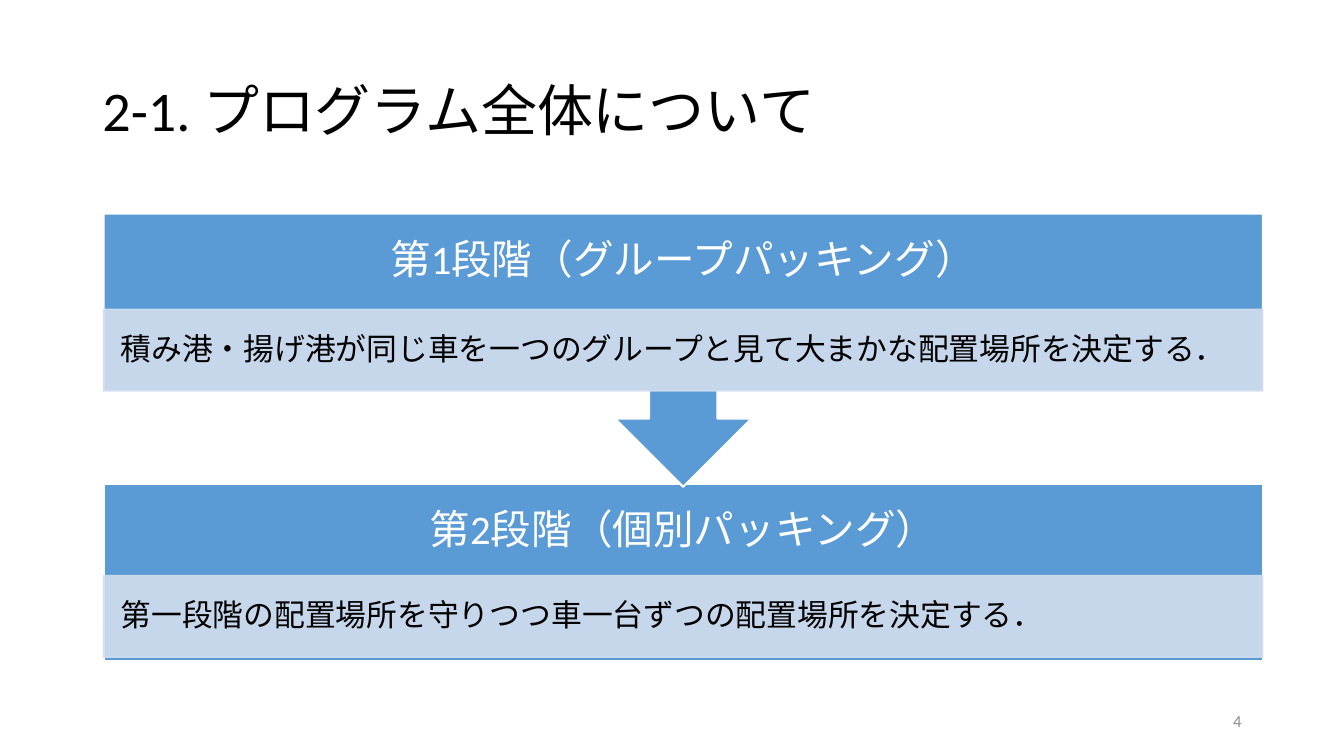
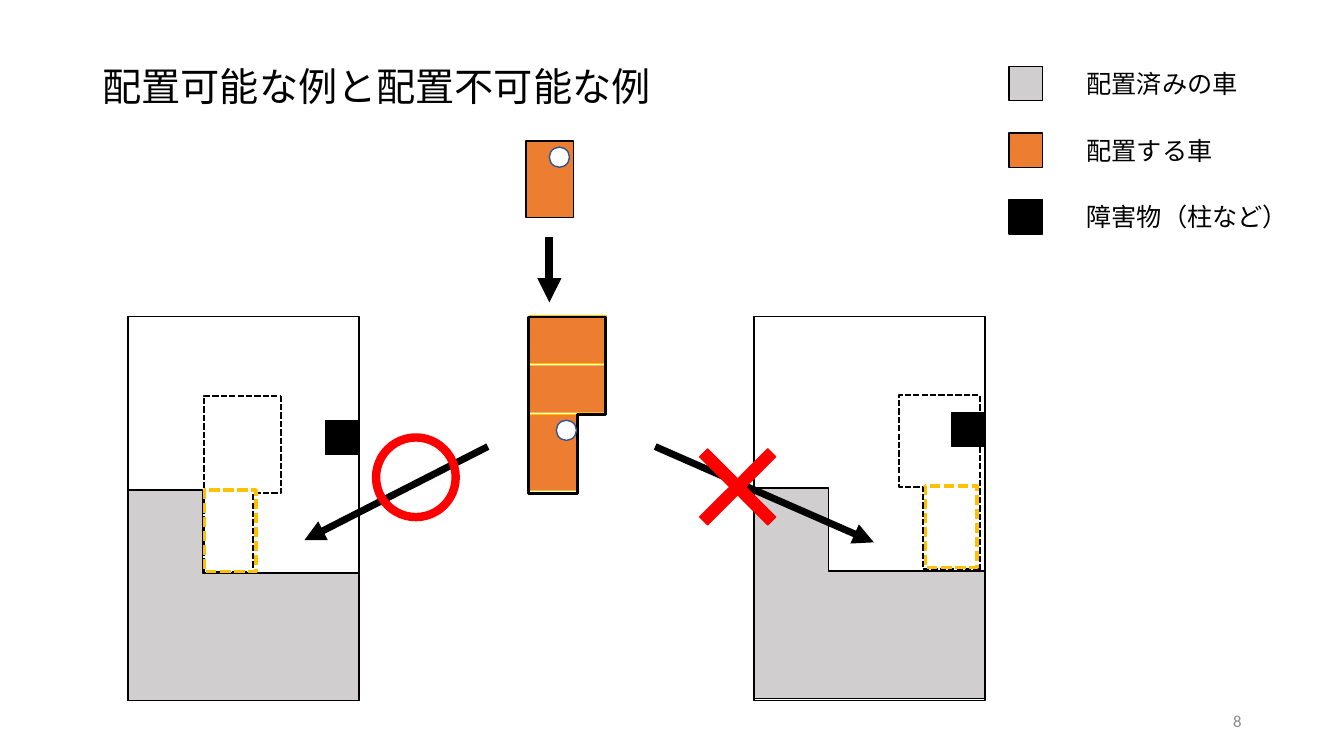
from lxml import etree
from pptx import Presentation
from pptx.dml.color import RGBColor
from pptx.enum.dml import MSO_LINE_DASH_STYLE as Dash
from pptx.enum.shapes import MSO_CONNECTOR as Connector
from pptx.enum.shapes import MSO_SHAPE as Preset
from pptx.enum.text import MSO_ANCHOR as Anchor
from pptx.enum.text import PP_ALIGN as Align
from pptx.oxml.ns import qn
from pptx.util import Pt

COLOURS = {
    "text": "000000",
    "white": "FFFFFF",
    "page_number": "8C8C8C",
    "stage": "5B9BD5",
    "detail": "D2DEEF",
    "packed": "D0CECE",
    "car": "ED7D31",
    "car_edge": "FFC000",
    "marker_edge": "325491",
    "verdict": "FF0000",
}
FONT = "Calibri"
TITLE_ONLY = 5
STAGE_LEFT, STAGE_WIDTH = 74, 828
HEADER_HEIGHT, DETAIL_HEIGHT = 68.4, 58.3
HOLD_TOP, HOLD_WIDTH, HOLD_HEIGHT = 226, 165, 274.4
CAR_WIDTH, CAR_LENGTH = 33.8, 54.7
KEY_LEFT, KEY_TOP, KEY_STEP = 720.7, 47.5, 47.6
KEY_SIZE = (24, 24.5)
PACKED_ADJUST = (0.606, 0.353)
GROUP_ADJUST = (0.639, 1.277)


def colour(name):
    return RGBColor.from_string(COLOURS[name])


def points(box):
    return [Pt(value) for value in box]


def set_values(target, values):
    for name, value in values.items():
        setattr(target, name, value)


def write_text(frame, text, size, ink="text", insets=None, para_format=None, **frame_format):
    """Fill a text frame with one paragraph; insets are horizontal, vertical."""
    if insets:
        across, down = points(insets)
        frame_format.update(margin_left=across, margin_right=across,
                            margin_top=down, margin_bottom=down)
    set_values(frame, {"word_wrap": True, **frame_format})
    para = frame.paragraphs[0]
    set_values(para, para_format or {})
    span = para.add_run()
    span.text = text
    set_values(span.font, {"name": FONT, "size": Pt(size)})
    span.font.color.rgb = colour(ink)


def add_text(page, box, text, size, **text_format):
    write_text(page.shapes.add_textbox(*points(box)).text_frame, text, size, **text_format)


def add_preset(page, kind, box, fill=None, edge="text", weight=1, dash=None,
               turn=0, adjust=()):
    shape = page.shapes.add_shape(kind, *points(box))
    shape.shadow.inherit = False
    shape.rotation = turn
    for index, value in enumerate(adjust):
        shape.adjustments[index] = value
    if fill:
        shape.fill.solid()
        shape.fill.fore_color.rgb = colour(fill)
    else:
        shape.fill.background()
    shape.line.color.rgb = colour(edge)
    set_values(shape.line, {"width": Pt(weight), "dash_style": dash})
    return shape


def set_opacity(shape, percent):
    """Apply the opacity to both the fill and the outline."""
    for node in shape.element.spPr.iter(qn("a:srgbClr")):
        etree.SubElement(node, qn("a:alpha"), val=str(percent * 1000))


def add_arrow(page, start, end, weight):
    arrow = page.shapes.add_connector(Connector.STRAIGHT, *points(start + end))
    arrow.line.color.rgb = colour("text")
    arrow.line.width = Pt(weight)
    properties = arrow.element.spPr
    etree.SubElement(properties.find(qn("a:ln")), qn("a:tailEnd"), type="triangle")
    etree.SubElement(properties, qn("a:effectLst"))


def add_page(deck, title, box, size, anchor, number, **para_format):
    page = deck.slides.add_slide(deck.slide_layouts[TITLE_ONLY])
    heading = page.shapes.title
    set_values(heading, dict(zip(("left", "top", "width", "height"), points(box))))
    write_text(heading.text_frame, title, size, vertical_anchor=anchor,
               para_format={"alignment": Align.LEFT, "line_spacing": 0.9, **para_format})
    add_text(page, (678, 500.5, 216, 28.8), str(number), 12, ink="page_number",
             vertical_anchor=Anchor.MIDDLE, para_format={"alignment": Align.RIGHT})
    return page


def add_stage(page, kind, top, height, detail_top, header, detail, turn=0):
    add_preset(page, kind, (STAGE_LEFT, top, STAGE_WIDTH, height), "stage", "white", 1.5,
               turn=turn)
    add_text(page, (STAGE_LEFT, top, STAGE_WIDTH, HEADER_HEIGHT), header, 29,
             ink="white", insets=(16.6, 16.6), vertical_anchor=Anchor.MIDDLE,
             para_format={"alignment": Align.CENTER, "line_spacing": 0.9})
    band = add_preset(page, Preset.RECTANGLE,
                      (STAGE_LEFT, detail_top, STAGE_WIDTH, DETAIL_HEIGHT), "detail", "detail")
    set_opacity(band, 90)
    write_text(band.text_frame, detail, 22, insets=(12.2, 2.2), vertical_anchor=Anchor.MIDDLE,
               para_format={"alignment": Align.LEFT, "line_spacing": 0.9})


def add_hold(page, left, packed_top, group, car, pillar):
    """Draw a hold with its packed cars, a dashed group, its next car and a pillar."""
    add_preset(page, Preset.RECTANGLE, (left, HOLD_TOP, HOLD_WIDTH, HOLD_HEIGHT))
    add_preset(page, Preset.CORNER, (left, packed_top, HOLD_WIDTH, 150.5), "packed",
               adjust=PACKED_ADJUST)
    add_preset(page, Preset.CORNER, weight=1.5, dash=Dash.SQUARE_DOT, **group)
    add_preset(page, Preset.RECTANGLE, car + (36.7, 58.3), edge="car_edge", weight=2.5,
               dash=Dash.SQUARE_DOT)
    add_preset(page, Preset.RECTANGLE, pillar + KEY_SIZE, "text")


def add_marker(page, left, top):
    add_preset(page, Preset.OVAL, (left, top, 14.4, 14.4), "white", "marker_edge")


def add_cars(page):
    add_preset(page, Preset.RECTANGLE, (375.8, 100.8, CAR_WIDTH, CAR_LENGTH), "car")
    add_marker(page, 392.4, 105.1)
    add_arrow(page, (392.4, 169.2), (392.4, 216), 5.75)
    for box in ((378, 295.9, CAR_WIDTH, CAR_LENGTH),
                (378.4, 261, CAR_LENGTH, CAR_WIDTH),
                (378.4, 225.7, CAR_LENGTH, CAR_WIDTH)):
        add_preset(page, Preset.RECTANGLE, box, "car", "car_edge")
    add_preset(page, Preset.CORNER, (342, 262.1, 126, 54.7), weight=2, turn=90,
               adjust=GROUP_ADJUST)
    add_marker(page, 397.4, 300.2)


def add_legend(page):
    entries = (("packed", "配置済みの車"), ("car", "配置する車"), ("text", "障害物（柱など）"))
    for row, (fill, label) in enumerate(entries):
        top = KEY_TOP + row * KEY_STEP
        add_preset(page, Preset.RECTANGLE, (KEY_LEFT, top) + KEY_SIZE, fill)
        add_text(page, (769, top - 2.1, 160, 28.8), label, 18, word_wrap=False)


def build_program_page(deck):
    page = add_page(deck, "2-1. プログラム全体について", (66, 28.8, 828, 104.4), 40,
                    Anchor.MIDDLE, 4)
    add_stage(page, Preset.RECTANGLE, 345.6, 126.7, 411.1, "第2段階（個別パッキング）",
              "第一段階の配置場所を守りつつ車一台ずつの配置場所を決定する．")
    add_stage(page, Preset.UP_ARROW_CALLOUT, 152.6, 195.1, 221, "第1段階（グループパッキング）",
              "積み港・揚げ港が同じ車を一つのグループと見て大まかな配置場所を決定する．", turn=180)


def build_placement_page(deck):
    page = add_page(deck, "配置可能な例と配置不可能な例", (66, 44.6, 828, 59.8), 28,
                    Anchor.TOP, 8, space_before=Pt(10))
    add_hold(page, 91.4, 350,
             {"box": (110.2, 318.2, 126, 54.7), "turn": 90, "adjust": GROUP_ADJUST},
             (146.2, 350), (232.6, 300.2))
    add_hold(page, 538.6, 348.5,
             {"box": (642.2, 282.2, 57.6, 124.6), "turn": 180, "adjust": (1.135, 0.705)},
             (661, 347), (679.7, 294.5))
    add_cars(page)
    add_legend(page)
    add_arrow(page, (348.5, 319), (217.4, 385.9), 5)
    add_arrow(page, (468, 319), (624.2, 387.4), 5)
    add_preset(page, Preset.MATH_MULTIPLY, (480.2, 301, 93.6, 93.6), "verdict", "verdict",
               adjust=(0.085,))
    add_preset(page, Preset.OVAL, (268.6, 312.5, 56.9, 56.9), edge="verdict", weight=6)


def main():
    deck = Presentation()
    set_values(deck, {"slide_width": Pt(960), "slide_height": Pt(540)})
    build_program_page(deck)
    build_placement_page(deck)
    deck.save("out.pptx")


if __name__ == "__main__":
    main()
